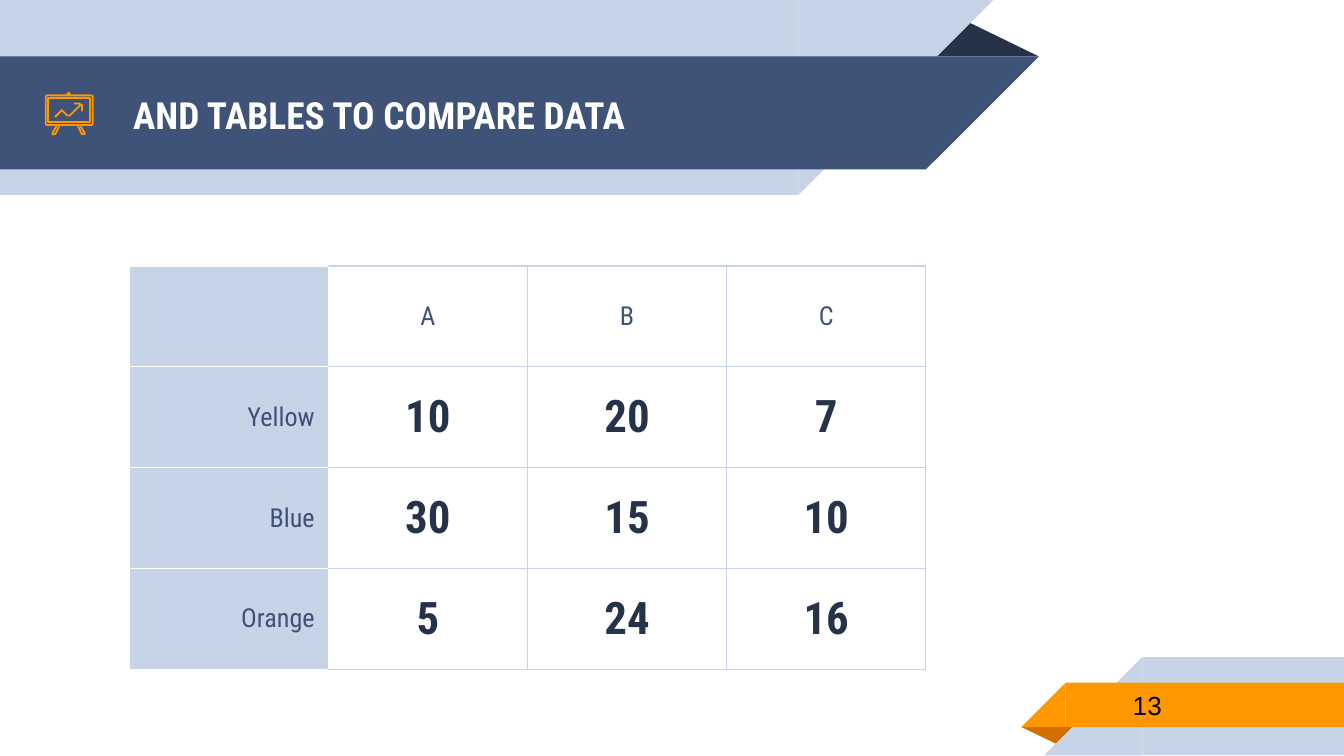
from lxml import etree
from pptx import Presentation
from pptx.dml.color import RGBColor
from pptx.enum.shapes import MSO_SHAPE
from pptx.enum.text import MSO_ANCHOR, MSO_AUTO_SIZE, PP_ALIGN
from pptx.oxml.ns import qn
from pptx.util import Inches, Pt

RECT, CORNER = MSO_SHAPE.RECTANGLE, MSO_SHAPE.RIGHT_TRIANGLE
FOLD, ROUNDED = MSO_SHAPE.ISOSCELES_TRIANGLE, MSO_SHAPE.ROUNDED_RECTANGLE
MIDDLE, NO_FIT = MSO_ANCHOR.MIDDLE, MSO_AUTO_SIZE.NONE
LEFT, CENTER, RIGHT = PP_ALIGN.LEFT, PP_ALIGN.CENTER, PP_ALIGN.RIGHT

WHITE, PALE, NAVY, DARK = "FFFFFF", "C7D3E6", "3F5378", "263248"
ORANGE, RUST, BLACK = "FF9800", "D26F00", "000000"
HEADING_FONT, NUMBER_FONT = "Roboto Condensed", "Arial"

ROWS = [
    ["", "A", "B", "C"],
    ["Yellow", "10", "20", "7"],
    ["Blue", "30", "15", "10"],
    ["Orange", "5", "24", "16"],
]
ICON_STROKES = [
    [(0.52, 0.71), (0.52, 0.7), (0.51, 0.69), (0.5, 0.7), (0.5, 0.71)],
    [(0.42, 0.94), (0.39, 0.99), (0.39, 1), (0.4, 1), (0.41, 1), (0.44, 0.94)],
    [(0.58, 0.94), (0.61, 1), (0.62, 1), (0.63, 1), (0.63, 0.99), (0.6, 0.94)],
    [(0.6, 0.78), (0.52, 0.86), (0.51, 0.86), (0.5, 0.86), (0.46, 0.82), (0.41, 0.87)],
    [(0.55, 0.77), (0.59, 0.77), (0.6, 0.78), (0.61, 0.78), (0.61, 0.83)],
]


def rgb(code):
    """Return the colour for a hex string."""
    return RGBColor.from_string(code)


def add_block(slide, kind, box, color, rotation=0, flipped=False):
    """Add a flat preset shape without outline."""
    block = slide.shapes.add_shape(kind, *map(Inches, box))
    block.shadow.inherit = False
    block.fill.solid()
    block.fill.fore_color.rgb = rgb(color)
    block.line.fill.background()
    block.rotation = rotation
    if flipped:
        block._element.spPr.xfrm.set("flipH", "1")
    return block


def add_header_band(slide, top, width, height, color):
    """Add a band from the left edge that narrows downwards on its right."""
    add_block(slide, RECT, (0, top, width, height), color)
    add_block(slide, CORNER, (width, top, height, height), color, 180, True)


def add_footer_band(slide, left, top, height, color):
    """Add a band to the right edge that widens downwards on its left."""
    body = left + height
    add_block(slide, RECT, (body, top, 10 - body, height), color)
    add_block(slide, CORNER, (left, top, height, height), color, flipped=True)


def add_fold(slide, box, color, rotation=0):
    """Add the folded end behind a ribbon."""
    fold = add_block(slide, FOLD, box, color, rotation)
    fold.adjustments[0] = 0.324


def style_text(frame, text, size, color, font=HEADING_FONT, bold=False, align=LEFT):
    """Write one paragraph and format it."""
    frame.text = text
    paragraph = frame.paragraphs[0]
    paragraph.alignment = align
    for run in paragraph.runs:
        run.font.size, run.font.bold, run.font.name = Pt(size), bold, font
        run.font.color.rgb = rgb(color)


def place_text(holder, box, text, size, color, **style):
    """Place a text holder and fill it with middle-anchored text."""
    holder.left, holder.top, holder.width, holder.height = map(Inches, box)
    frame = holder.text_frame
    frame.word_wrap, frame.auto_size, frame.vertical_anchor = True, NO_FIT, MIDDLE
    frame.margin_left = frame.margin_right = Inches(0.1)
    frame.margin_top = frame.margin_bottom = Inches(0.1)
    style_text(frame, text, size, color, **style)


def set_borders(cell, colors):
    """Draw the left, right, top and bottom cell borders."""
    properties = cell._tc.get_or_add_tcPr()
    for index, (side, color) in enumerate(zip("LRTB", colors)):
        border = etree.Element(qn(f"a:ln{side}"), w=str(Pt(0.75)))
        fill = etree.SubElement(border, qn("a:solidFill"))
        etree.SubElement(fill, qn("a:srgbClr"), val=color)
        properties.insert(index, border)


def fill_cell(cell, text, row, column):
    """Format a cell by its place in the table."""
    cell.vertical_anchor = MIDDLE
    cell.margin_left = cell.margin_right = Inches(0.1)
    cell.margin_top = cell.margin_bottom = Inches(0.07)
    is_value = row > 0 and column > 0
    size, color = (24, DARK) if is_value else (14, NAVY)
    align = CENTER if column else RIGHT
    style_text(cell.text_frame, text, size, color, bold=is_value, align=align)
    if column:
        cell.fill.background()
        set_borders(cell, [PALE if column > 1 else WHITE, PALE, PALE, PALE])
    else:
        cell.fill.solid()
        cell.fill.fore_color.rgb = rgb(PALE)
        set_borders(cell, [WHITE] * 4)


def add_comparison(slide):
    """Add the comparison table."""
    width, height, count = 5.93, 3, len(ROWS)
    box = (0.96, 1.98, width, height)
    table = slide.shapes.add_table(count, count, *map(Inches, box)).table
    table.first_row = table.horz_banding = False
    for column in table.columns:
        column.width = Inches(width / count)
    for row, texts in enumerate(ROWS):
        table.rows[row].height = Inches(height / count)
        for column, text in enumerate(texts):
            fill_cell(table.cell(row, column), text, row, column)


def outline(shape):
    """Give an icon part its thin orange line."""
    shape.shadow.inherit = False
    shape.fill.background()
    shape.line.color.rgb = rgb(ORANGE)
    shape.line.width = Pt(0.96)


def add_board_icon(slide):
    """Draw the presentation board icon."""
    frame = slide.shapes.add_shape(ROUNDED, *map(Inches, (0.34, 0.71, 0.35, 0.22)))
    frame.adjustments[0] = 0.05
    outline(frame)
    outline(slide.shapes.add_shape(RECT, *map(Inches, (0.36, 0.73, 0.31, 0.18))))
    for stroke in ICON_STROKES:
        start, *rest = [(Inches(x), Inches(y)) for x, y in stroke]
        builder = slide.shapes.build_freeform(*start)
        builder.add_line_segments(rest, close=False)
        outline(builder.convert_to_shape())


def main():
    """Build and save the slide."""
    deck = Presentation()
    deck.slide_width = Inches(10)
    deck.slide_height = deck.slide_width * 9 // 16
    slide = deck.slides.add_slide(deck.slide_layouts[5])

    add_fold(slide, (6.88, 0.14, 0.85, 0.28), DARK)
    add_header_band(slide, 0, 5.94, 1.45, PALE)
    add_header_band(slide, 0.42, 6.89, 0.84, NAVY)
    add_fold(slide, (7.6, 5.41, 0.43, 0.14), RUST, 180)
    add_footer_band(slide, 7.77, 4.89, 0.73, PALE)
    add_footer_band(slide, 7.6, 5.08, 0.33, ORANGE)

    title = slide.shapes.title
    title._element.getparent().append(title._element)
    place_text(title, (0.89, 0.43, 5.75, 0.84), "AND TABLES TO COMPARE DATA",
               20, WHITE, bold=True)
    add_comparison(slide)
    page_number = slide.shapes.add_textbox(0, 0, 0, 0)
    place_text(page_number, (8.33, 5.07, 1.63, 0.35), "13", 14, BLACK, font=NUMBER_FONT)
    add_board_icon(slide)
    deck.save("out.pptx")


if __name__ == "__main__":
    main()
